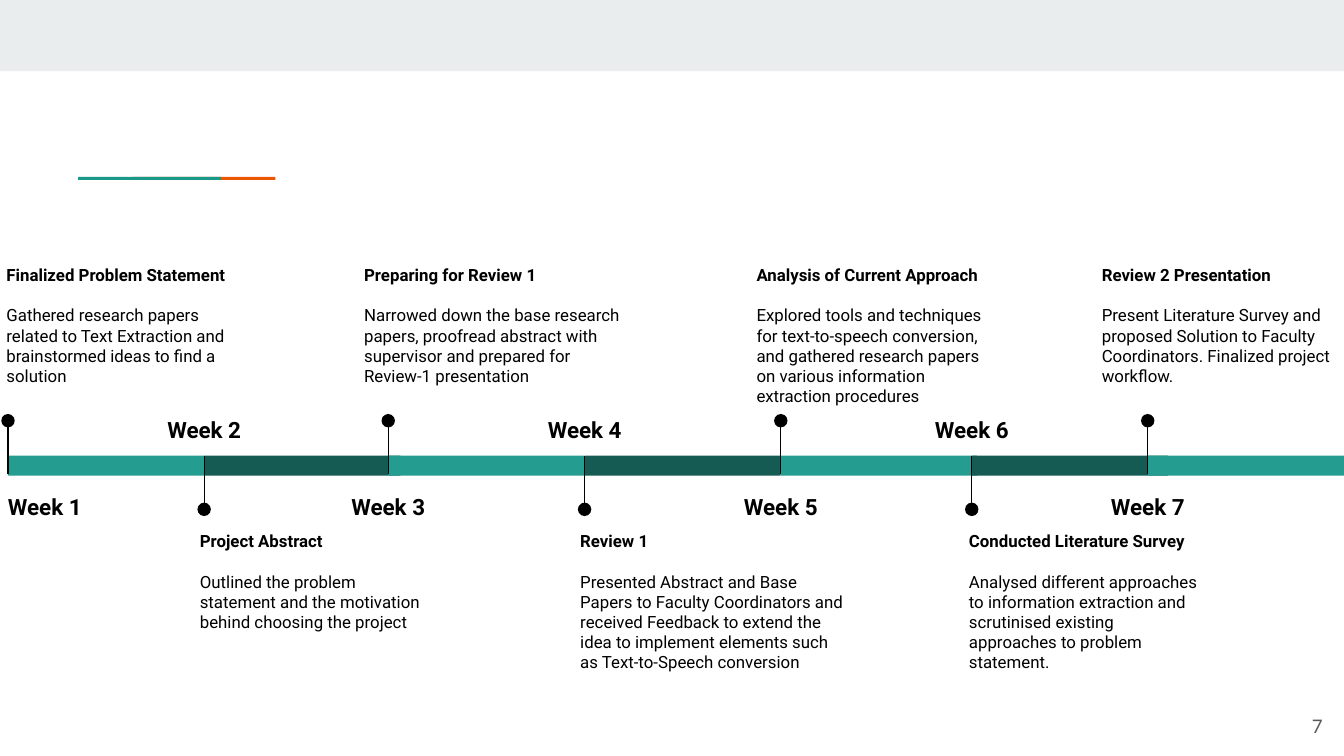
from lxml import etree
from pptx import Presentation
from pptx.dml.color import RGBColor
from pptx.enum import shapes, text
from pptx.oxml.ns import qn
from pptx.util import Pt

HEADER, TEAL, ORANGE = "E9EDEE", "1A9988", "EB5600"
LIGHT, DARK, INK, GREY = "249C90", "155B54", "000000", "595959"

# marker x, note left, note width, heading, detail
WEEKS = [
    (4.3, -3.6, 136, "Finalized Problem Statement",
     "Gathered research papers related to Text Extraction and brainstormed ideas to find a solution"),
    (109.4, 100, 136, "Project Abstract",
     "Outlined the problem statement and the motivation behind choosing the project"),
    (208, 188, 154, "Preparing for Review 1",
     "Narrowed down the base research papers, proofread abstract with supervisor "
     "and prepared for Review-1 presentation"),
    (313.2, 303.8, 156.2, "Review 1",
     "Presented Abstract and Base Papers to Faculty Coordinators and received Feedback "
     "to extend the idea to implement elements such as Text-to-Speech conversion"),
    (418.3, 398.2, 144, "Analysis of Current Approach",
     "Explored tools and techniques for text-to-speech conversion, and gathered "
     "research papers on various information extraction procedures"),
    (520.6, 512, 137.5, "Conducted Literature Survey",
     "Analysed different approaches to information extraction and scrutinised "
     "existing approaches to problem statement."),
    (614.9, 583.2, 144, "Review 2 Presentation",
     "Present Literature Survey and proposed Solution to Faculty Coordinators. "
     "Finalized project workflow."),
]
BAR_TOP, BAR_W, BAR_H = 244.1, 105.1, 10.8
DOT, LABEL_W = 7.2, 60
ABOVE = dict(note=134.6, label=254.9, dot=221.8, pin=(226.1, 254.2))
BELOW = dict(note=277.2, label=213.8, dot=269.3, pin=(272.2, 244.1))


def color(value):
    return RGBColor.from_string(value)


def add_solid(slide, kind, left, top, width, height, fill):
    solid = slide.shapes.add_shape(kind, Pt(left), Pt(top), Pt(width), Pt(height))
    solid.shadow.inherit = False
    solid.fill.solid()
    solid.fill.fore_color.rgb = color(fill)
    solid.line.fill.background()


def add_text(slide, left, top, width, height, lines, size, font="Roboto", ink=INK,
             align=text.PP_ALIGN.LEFT, anchor=text.MSO_ANCHOR.TOP):
    frame = slide.shapes.add_textbox(Pt(left), Pt(top), Pt(width), Pt(height)).text_frame
    frame.word_wrap = True
    frame.vertical_anchor = anchor
    frame.margin_left = frame.margin_right = frame.margin_top = frame.margin_bottom = Pt(7.2)
    for i, (words, bold) in enumerate(lines):
        paragraph = frame.paragraphs[0] if i == 0 else frame.add_paragraph()
        paragraph.text = words
        paragraph.alignment = align
        paragraph.font.name = font
        paragraph.font.size = Pt(size)
        paragraph.font.bold = bold
        paragraph.font.color.rgb = color(ink)
    return frame


def add_pin(slide, x, start, end):
    pin = slide.shapes.add_connector(shapes.MSO_CONNECTOR.STRAIGHT, Pt(x), Pt(start), Pt(x), Pt(end))
    pin.line.color.rgb = color(INK)
    pin.line.width = Pt(0.75)
    etree.SubElement(pin._element.spPr, qn("a:effectLst"))


def add_week(slide, number, x, note_left, note_width, heading, detail):
    odd = number % 2 == 1
    side = ABOVE if odd else BELOW
    add_solid(slide, shapes.MSO_SHAPE.RECTANGLE, x, BAR_TOP, BAR_W, BAR_H, LIGHT if odd else DARK)
    label = add_text(slide, max(x - LABEL_W / 2, -6), side["label"], LABEL_W, 29.5,
                     [(f"Week {number}", True)], 12, align=text.PP_ALIGN.CENTER)
    label.paragraphs[0].line_spacing = 1.15
    note = add_text(slide, note_left, side["note"], note_width, 75,
                    [(heading, True), (detail, False)], 9)
    note.paragraphs[1].space_before = Pt(10.8)
    add_solid(slide, shapes.MSO_SHAPE.OVAL, x - DOT / 2, side["dot"], DOT, DOT, INK)
    add_pin(slide, x, *side["pin"])


def main():
    deck = Presentation()
    deck.slide_width, deck.slide_height = Pt(720), Pt(405)
    slide = deck.slides.add_slide(deck.slide_layouts[6])
    add_solid(slide, shapes.MSO_SHAPE.RECTANGLE, 0, 0, 720, 38.2, HEADER)
    for left, fill in ((71, ORANGE), (41.8, TEAL)):
        add_solid(slide, shapes.MSO_SHAPE.RECTANGLE, left, 94.8, 76.5, 1.6, fill)
    add_text(slide, 672.5, 373.7, 43.2, 31, [("7", False)], 10, "Lato", GREY,
             text.PP_ALIGN.RIGHT, text.MSO_ANCHOR.MIDDLE)
    for number, week in enumerate(WEEKS, 1):
        add_week(slide, number, *week)
    deck.save("out.pptx")


if __name__ == "__main__":
    main()
